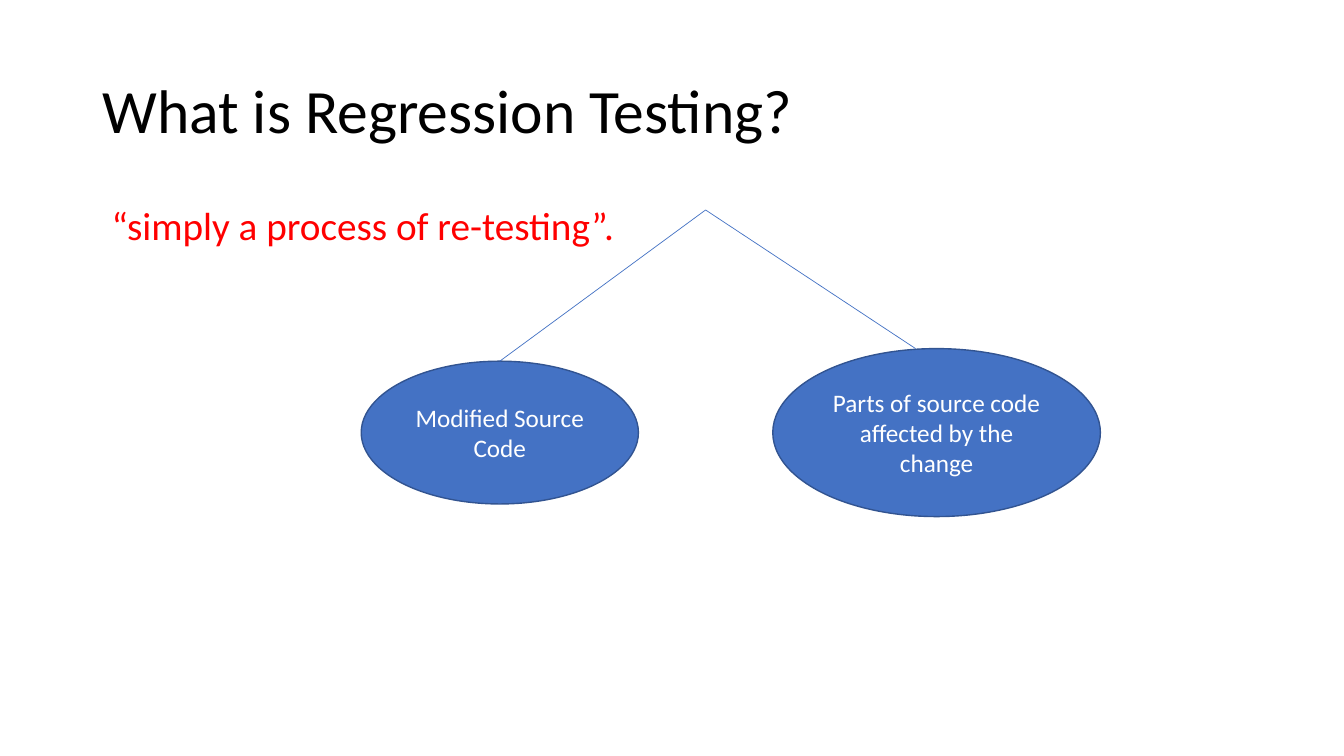
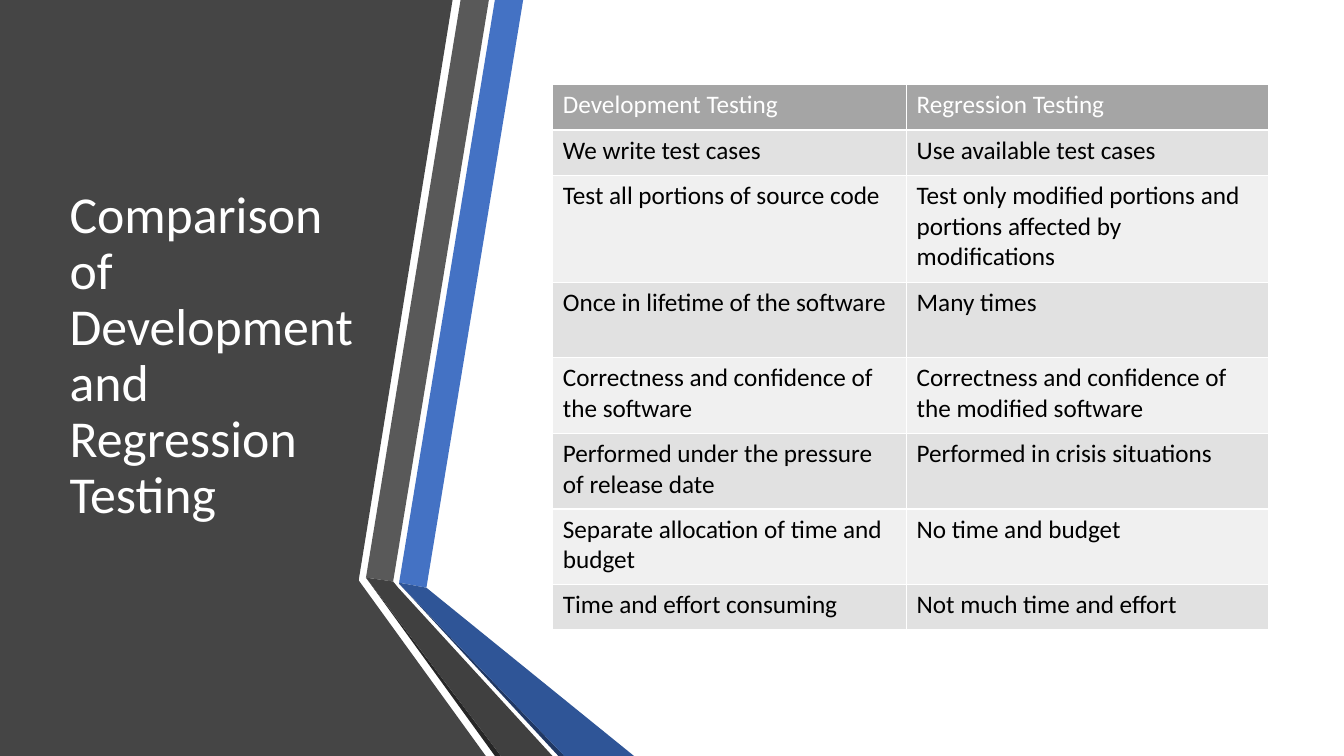
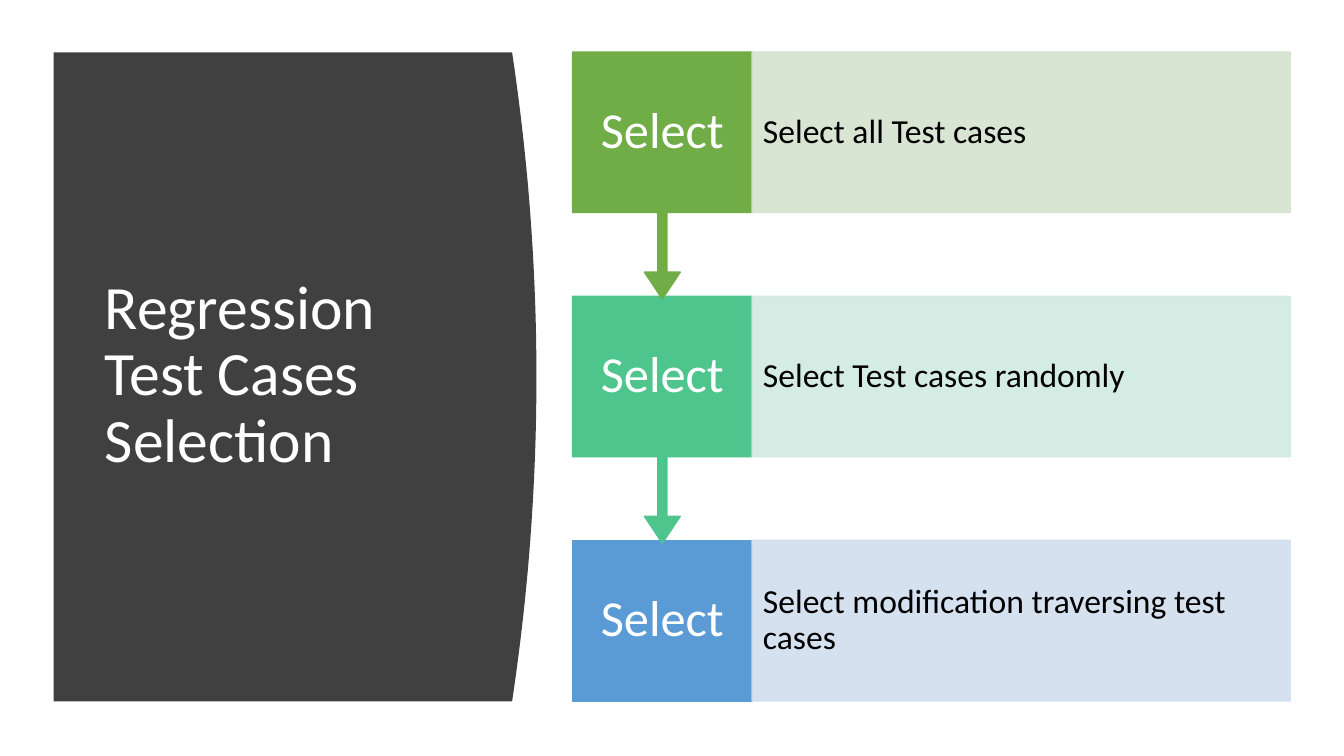
from pptx import Presentation
from pptx.dml.color import RGBColor
from pptx.enum.shapes import MSO_CONNECTOR, MSO_SHAPE
from pptx.enum.text import MSO_ANCHOR, MSO_AUTO_SIZE, PP_ALIGN
from pptx.oxml.ns import qn
from pptx.util import Pt
from lxml import etree

STRAIGHT = MSO_CONNECTOR.STRAIGHT
OVAL = MSO_SHAPE.OVAL
RECTANGLE = MSO_SHAPE.RECTANGLE
DOWN_CALLOUT = MSO_SHAPE.DOWN_ARROW_CALLOUT
MIDDLE = MSO_ANCHOR.MIDDLE
NO_AUTOFIT = MSO_AUTO_SIZE.NONE
LEFT = PP_ALIGN.LEFT
CENTER = PP_ALIGN.CENTER

FONT = "Calibri"
SLIDE_WIDTH, SLIDE_HEIGHT = 960, 540
TITLE_AND_CONTENT, TITLE_ONLY = 1, 5

COLORS = {
    "black": "000000",
    "white": "FFFFFF",
    "red": "FF0000",
    "blue": "4472C4",
    "blue_outline": "325491",
    "blue_dark": "2F5597",
    "navy": "203864",
    "panel": "454545",
    "gray": "595959",
    "charcoal": "404040",
    "charcoal_dark": "262626",
    "header": "A5A5A5",
    "row_odd": "E1E1E1",
    "row_even": "F0F0F0",
    "green": "70AD47",
    "green_pale": "D5E3CF",
    "teal": "4DC58D",
    "teal_pale": "D0EAE1",
    "sky": "5B9BD5",
    "sky_pale": "D2DEEF",
}

RIBBONS = [
    ("panel", [(0, 0), (323.3, 0), (256.3, 414), (256.3, 414.7), (347, 540), (0, 540)]),
    ("blue", [(285.1, 416.2), (304.6, 419.8), (373.7, 0), (353.5, 0)]),
    ("gray", [(349.2, 0), (329, 0), (261.4, 412.6), (280.8, 415.4)]),
    ("charcoal_dark", [(261.4, 412.6), (353.5, 540), (357.8, 540)]),
    ("navy", [(285.1, 416.9), (398.9, 540), (403.2, 540)]),
    ("blue_dark", [(285.1, 416.9), (403.2, 540), (452.9, 540), (304.6, 419.8), (285.1, 416.2)]),
    ("charcoal", [(394.6, 540), (284.4, 419.8), (280.8, 415.4), (261.4, 412.6), (357.8, 540)]),
]

COMPARISON = [
    ("Development Testing", "Regression Testing"),
    ("We write test cases", "Use available test cases"),
    ("Test all portions of source code",
     "Test only modified portions and portions affected by modifications"),
    ("Once in lifetime of the software", "Many times"),
    ("Correctness and confidence of the software",
     "Correctness and confidence of the modified software"),
    ("Performed under the pressure of release date", "Performed in crisis situations"),
    ("Separate allocation of time and budget", "No time and budget"),
    ("Time and effort consuming", "Not much time and effort"),
]
COLUMN_WIDTHS = [252.7, 258.5]
ROW_HEIGHTS = [32.4, 32.4, 76.3, 54, 54, 54, 54, 32.4]

SELECTION_STEPS = [
    ("Select all Test cases", "green"),
    ("Select Test cases randomly", "teal"),
    ("Select modification traversing test cases", "sky"),
]


def rgb(name):
    """Return the named colour."""
    return RGBColor.from_string(COLORS[name])


def points(*lengths):
    """Convert lengths in points to a list of Pt values."""
    return [Pt(length) for length in lengths]


def place(shape, box):
    """Set the left, top, width and height of a shape."""
    shape.left, shape.top, shape.width, shape.height = points(*box)


def write_text(text_frame, text, size, color, align=LEFT, line_spacing=None):
    """Write one paragraph and format its run."""
    text_frame.text = text
    text_frame.word_wrap = True
    paragraph = text_frame.paragraphs[0]
    paragraph.alignment = align
    if line_spacing:
        paragraph.line_spacing = line_spacing
    font = paragraph.runs[0].font
    font.name, font.size, font.color.rgb = FONT, Pt(size), rgb(color)
    return paragraph


def set_title(slide, text, box, size=44, color="black"):
    """Fill the title placeholder in the shared title style."""
    title = slide.shapes.title
    place(title, box)
    write_text(title.text_frame, text, size, color, line_spacing=0.9)
    title.text_frame.auto_size = NO_AUTOFIT
    title.text_frame.vertical_anchor = MIDDLE


def set_body(slide, text, box):
    """Fill the body placeholder with one unbulleted paragraph."""
    body = slide.placeholders[1]
    place(body, box)
    paragraph = write_text(body.text_frame, text, 28, "red", line_spacing=0.9)
    body.text_frame.auto_size = NO_AUTOFIT
    paragraph.space_before = Pt(10)
    properties = paragraph._p.get_or_add_pPr()
    properties.set("marL", str(Pt(6.5)))
    properties.set("indent", "0")
    etree.SubElement(properties, qn("a:buNone"))


def add_filled_shape(slide, kind, box, fill, outline):
    """Add a preset shape with a solid fill and a one-point outline."""
    shape = slide.shapes.add_shape(kind, *points(*box))
    shape.shadow.inherit = False
    shape.fill.solid()
    shape.fill.fore_color.rgb = rgb(fill)
    shape.line.color.rgb = rgb(outline)
    shape.line.width = Pt(1)
    shape.text_frame.vertical_anchor = MIDDLE
    return shape


def add_ellipse(slide, text, box):
    """Add a blue ellipse with centred white text."""
    ellipse = add_filled_shape(slide, OVAL, box, "blue", "blue_outline")
    write_text(ellipse.text_frame, text, 18, "white", CENTER)
    return ellipse


def add_branch(slide, start, end):
    """Add a thin blue connector."""
    branch = slide.shapes.add_connector(STRAIGHT, *points(*start, *end))
    branch.line.color.rgb = rgb("blue")
    branch.line.width = Pt(0.5)
    etree.SubElement(branch._element.spPr, qn("a:effectLst"))
    return branch


def add_polygon(slide, vertices, fill):
    """Add a closed freeform without an outline."""
    corners = [points(*vertex) for vertex in vertices]
    builder = slide.shapes.build_freeform(*corners[0])
    builder.add_line_segments(corners[1:], close=True)
    polygon = builder.convert_to_shape()
    polygon.shadow.inherit = False
    polygon.fill.solid()
    polygon.fill.fore_color.rgb = rgb(fill)
    polygon.line.fill.background()


def add_curved_panel(slide):
    """Add the dark panel whose right edge bulges as a parabola."""
    left, top, bottom, edge, bulge, steps = 38.4, 37.4, 501.1, 365.8, 17.4, 40
    curve = []
    for step in range(steps + 1):
        ratio = step / steps
        offset = 1 - (2 * ratio - 1) ** 2
        curve.append((edge + bulge * offset, top + (bottom - top) * ratio))
    add_polygon(slide, [(left, top), *curve, (left, bottom)], "charcoal")


def add_cell_borders(cell):
    """Draw white one-point borders around a table cell."""
    properties = cell._tc.get_or_add_tcPr()
    for side in ("lnL", "lnR", "lnT", "lnB"):
        border = etree.SubElement(properties, qn(f"a:{side}"), w=str(Pt(1)))
        fill = etree.SubElement(border, qn("a:solidFill"))
        etree.SubElement(fill, qn("a:srgbClr"), val=COLORS["white"])


def add_comparison_table(slide, left, top):
    """Add the two-column comparison table."""
    box = points(left, top, sum(COLUMN_WIDTHS), sum(ROW_HEIGHTS))
    table = slide.shapes.add_table(len(COMPARISON), len(COLUMN_WIDTHS), *box).table
    for column, width in zip(table.columns, COLUMN_WIDTHS):
        column.width = Pt(width)
    for row_index, texts in enumerate(COMPARISON):
        table.rows[row_index].height = Pt(ROW_HEIGHTS[row_index])
        fill = "row_odd" if row_index % 2 else "row_even"
        color = "black"
        if row_index == 0:
            fill, color = "header", "white"
        for column_index, text in enumerate(texts):
            cell = table.cell(row_index, column_index)
            write_text(cell.text_frame, text, 18, color)
            add_cell_borders(cell)
            cell.fill.solid()
            cell.fill.fore_color.rgb = rgb(fill)


def set_margins(text_frame, side, vertical):
    """Set equal side margins and equal vertical margins."""
    text_frame.margin_left = text_frame.margin_right = Pt(side)
    text_frame.margin_top = text_frame.margin_bottom = Pt(vertical)


def make_translucent(shape, percent):
    """Set the opacity of the fill and outline of a shape."""
    for color in shape._element.spPr.iter(qn("a:srgbClr")):
        etree.SubElement(color, qn("a:alpha"), val=str(percent * 1000))


def add_selection_step(slide, text, color, top, has_arrow):
    """Add a label box, with an arrow if another step follows, and its description."""
    left, label_width, text_width, height, callout_height = 409, 128.2, 384.5, 114.7, 176.4
    kind, label_height = (DOWN_CALLOUT, callout_height) if has_arrow else (RECTANGLE, height)
    label = add_filled_shape(slide, kind, (left, top, label_width, label_height), color, color)
    if has_arrow:
        for index, value in enumerate((0.05, 0.1, 0.15, 0.65)):
            label.adjustments[index] = value
    write_text(label.text_frame, "Select", 36, "white", CENTER, 0.9)
    set_margins(label.text_frame, 9.1, 20)

    pale = f"{color}_pale"
    box = (left + label_width, top, text_width, height)
    description = add_filled_shape(slide, RECTANGLE, box, pale, pale)
    make_translucent(description, 90)
    write_text(description.text_frame, text, 24, "black", LEFT, 0.9)
    set_margins(description.text_frame, 7.8, 24)


def build_definition_slide(presentation):
    """Build the slide that defines regression testing."""
    slide = presentation.slides.add_slide(presentation.slide_layouts[TITLE_AND_CONTENT])
    set_title(slide, "What is Regression Testing?", (66, 28.8, 828, 104.4))
    set_body(slide, "“simply a process of re-testing”.", (66, 143.8, 828, 342.6))
    modified = add_ellipse(slide, "Modified Source Code", (258, 258, 198, 102))
    add_ellipse(slide, "Parts of source code affected by the change", (552, 249, 234, 120))
    apex = (504, 150)
    add_branch(slide, apex, (357, 258)).end_connect(modified, 0)
    add_branch(slide, apex, (654, 249))


def build_comparison_slide(presentation):
    """Build the slide with the ribbons and the comparison table."""
    slide = presentation.slides.add_slide(presentation.slide_layouts[TITLE_ONLY])
    for color, vertices in RIBBONS:
        add_polygon(slide, vertices, color)
    slide.shapes._spTree.append(slide.shapes.title._element)
    set_title(slide, "Comparison of Development and Regression Testing",
              (42.5, 54, 219, 401.8), 37, "white")
    add_comparison_table(slide, 394.9, 60.5)


def build_selection_slide(presentation):
    """Build the slide with the test case selection steps."""
    slide = presentation.slides.add_slide(presentation.slide_layouts[TITLE_ONLY])
    add_curved_panel(slide)
    slide.shapes._spTree.append(slide.shapes.title._element)
    set_title(slide, "Regression Test Cases Selection", (67.7, 79.9, 269.3, 377.3), 44, "white")
    first_top, pitch = 37.2, 174.4
    last = len(SELECTION_STEPS) - 1
    for index, (text, color) in reversed(list(enumerate(SELECTION_STEPS))):
        add_selection_step(slide, text, color, first_top + index * pitch, index < last)


def main():
    """Build and save the presentation."""
    presentation = Presentation()
    presentation.slide_width, presentation.slide_height = points(SLIDE_WIDTH, SLIDE_HEIGHT)
    build_definition_slide(presentation)
    build_comparison_slide(presentation)
    build_selection_slide(presentation)
    presentation.save("out.pptx")


if __name__ == "__main__":
    main()
